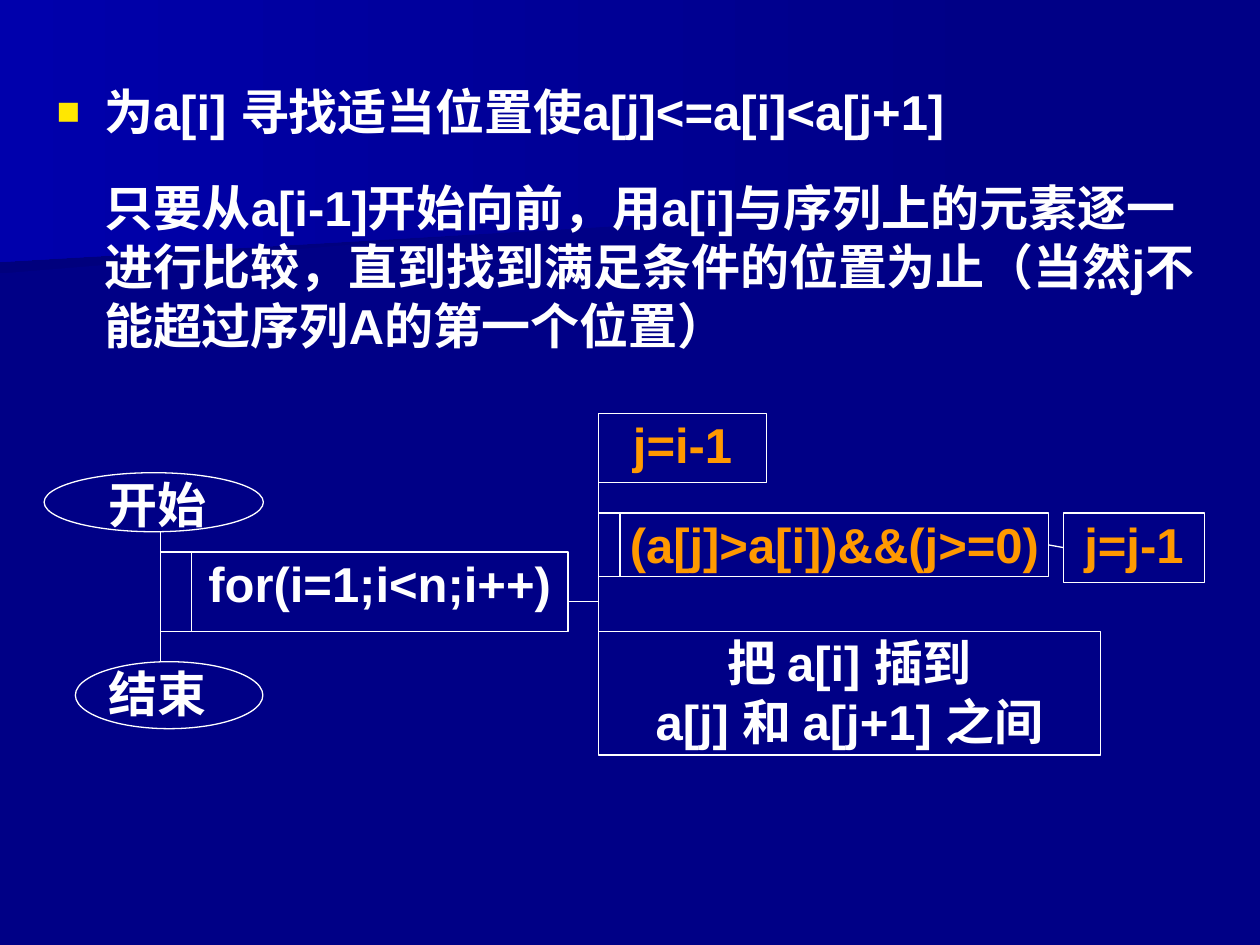
from lxml.etree import SubElement
from pptx import Presentation
from pptx.dml.color import RGBColor
from pptx.enum.shapes import MSO_CONNECTOR as Line, MSO_SHAPE as Shape
from pptx.enum.text import MSO_ANCHOR as Anchor, PP_ALIGN as Align
from pptx.oxml.ns import qn
from pptx.util import Cm, Pt

THEME = {
    "back": "000086", "band": "00007D", "glow": "0000AC",
    "text": "FFFFFF", "accent": "FF9900", "bullet": "FFE701",
    "font": {"name": "Arial", "size": Pt(28), "bold": True},
    "line": Pt(0.75),
}

# All lengths below are in centimetres.
INTRO = [
    "为a[i] 寻找适当位置使a[j]<=a[i]<a[j+1]",
    "只要从a[i-1]开始向前，用a[i]与序列上的元素逐一进行比较，"
    "直到找到满足条件的位置为止（当然j不能超过序列A的第一个位置）",
]
INTRO_BOX = (0.89, 1.52, 23.72, 5.79)
HANGING = 0.96

BANDS = [  # colour at the left, outline
    ("band", [(19.76, 3.89), (0, 5.51), (0, 2.57), (19.79, 2.57)]),
    ("glow", [(20.12, 4.11), (0, 5.28), (0, 0), (20.12, 0)]),
]

TRUNK_X, BRANCH_X = 3.23, 12.07
LOOP_TAB, TEST_TAB = 0.63, 0.43

TERMINALS = [  # label, ellipse
    ("开始", (0.89, 9.53, 4.42, 1.19)),
    ("结束", (1.52, 13.34, 3.78, 1.35)),
]
LABEL_X, LABEL_W, LABEL_H = 2.16, 2.39, 1.09

BOXES = {  # name: lines, colour, place
    "loop_tab": ([], "text", (TRUNK_X, 11.13, LOOP_TAB, 1.6)),
    "loop": (["for(i=1;i<n;i++)"], "text",
             (TRUNK_X + LOOP_TAB, 11.13, 7.59, 1.6)),
    "insert": (["把 a[i] 插到", "a[j] 和 a[j+1] 之间"], "text",
               (BRANCH_X, 12.73, 10.11, 2.49)),
    "step": (["j=j-1"], "accent", (21.44, 10.34, 2.84, 1.4)),
    "test_tab": ([], "text", (BRANCH_X, 10.34, TEST_TAB, 1.29)),
    "test": (["(a[j]>a[i])&&(j>=0)"], "accent",
             (BRANCH_X + TEST_TAB, 10.34, 8.64, 1.29)),
    "init": (["j=i-1"], "accent", (BRANCH_X, 8.33, 3.38, 1.4)),
}

LINES = [  # x1, y1, x2, y2
    (TRUNK_X, 10.72, TRUNK_X, 13.34),
    (11.45, 12.12, BRANCH_X, 12.12),
    (BRANCH_X, 8.33, BRANCH_X, 15.11),
]


def color(name):
    return RGBColor.from_string(THEME[name])


def cm(values):
    return [Cm(v) for v in values]


def set_all(obj, values):
    for name, value in values.items():
        setattr(obj, name, value)


def write(sp, lines, color_name="text", align=Align.LEFT, inset=(0.03, 0.03)):
    tf = sp.text_frame
    x, y = cm(inset)
    set_all(tf, {"word_wrap": True, "vertical_anchor": Anchor.TOP,
                 "margin_left": x, "margin_right": x,
                 "margin_top": y, "margin_bottom": y})
    for i, line in enumerate(lines):
        p = tf.add_paragraph() if i else tf.paragraphs[0]
        p.alignment = align
        r = p.add_run()
        r.text = line
        set_all(r.font, THEME["font"])
        r.font.color.rgb = color(color_name)
    return tf


def outline(line):
    line.color.rgb = color("text")
    line.width = THEME["line"]


def add_outlined(slide, kind, place):
    sp = slide.shapes.add_shape(kind, *cm(place))
    sp.shadow.inherit = False
    sp.fill.background()
    outline(sp.line)
    return sp


def add_line(slide, ends=(0, 0, 0, 0)):
    cx = slide.shapes.add_connector(Line.STRAIGHT, *cm(ends))
    outline(cx.line)
    SubElement(cx._element.spPr, qn("a:effectLst"))
    return cx


def add_band(slide, left_color, points):
    start, *rest = [tuple(cm(pt)) for pt in points]
    builder = slide.shapes.build_freeform(*start)
    builder.add_line_segments(rest, close=True)
    sp = builder.convert_to_shape()
    sp.shadow.inherit = False
    sp.line.fill.background()
    sp.fill.gradient()
    sp.fill.gradient_angle = 180
    for stop, name in zip(sp.fill.gradient_stops, ("back", left_color)):
        stop.color.rgb = color(name)


def add_intro(slide):
    sp = slide.shapes.add_textbox(*cm(INTRO_BOX))
    first, second = write(sp, INTRO, inset=(0.25, 0.13)).paragraphs
    first.space_after = Pt(21)
    for p, indent in ((first, -HANGING), (second, 0)):
        pPr = p._p.get_or_add_pPr()
        pPr.set("marL", str(Cm(HANGING)))
        pPr.set("indent", str(Cm(indent)))
    pPr = first._p.pPr
    clr = SubElement(pPr, qn("a:buClr"))
    SubElement(clr, qn("a:srgbClr"), val=THEME["bullet"])
    SubElement(pPr, qn("a:buSzPct"), val="80000")
    SubElement(pPr, qn("a:buFont"), typeface=THEME["font"]["name"])
    SubElement(pPr, qn("a:buChar"), char="■")


def add_flow(slide):
    for label, place in TERMINALS:
        add_outlined(slide, Shape.OVAL, place)
        box = slide.shapes.add_textbox(
            *cm((LABEL_X, place[1], LABEL_W, LABEL_H)))
        write(box, [label])
    for ends in LINES:
        add_line(slide, ends)
    boxes = {}
    for name, (lines, color_name, place) in BOXES.items():
        boxes[name] = add_outlined(slide, Shape.RECTANGLE, place)
        write(boxes[name], lines, color_name, Align.CENTER)
    link = add_line(slide)
    link.begin_connect(boxes["test"], 3)
    link.end_connect(boxes["step"], 1)


def main():
    prs = Presentation()
    prs.slide_width, prs.slide_height = Cm(25.4), Cm(19.05)
    slide = prs.slides.add_slide(prs.slide_layouts[6])
    slide.background.fill.solid()
    slide.background.fill.fore_color.rgb = color("back")
    for left_color, points in BANDS:
        add_band(slide, left_color, points)
    add_intro(slide)
    add_flow(slide)
    prs.save("out.pptx")


if __name__ == "__main__":
    main()
